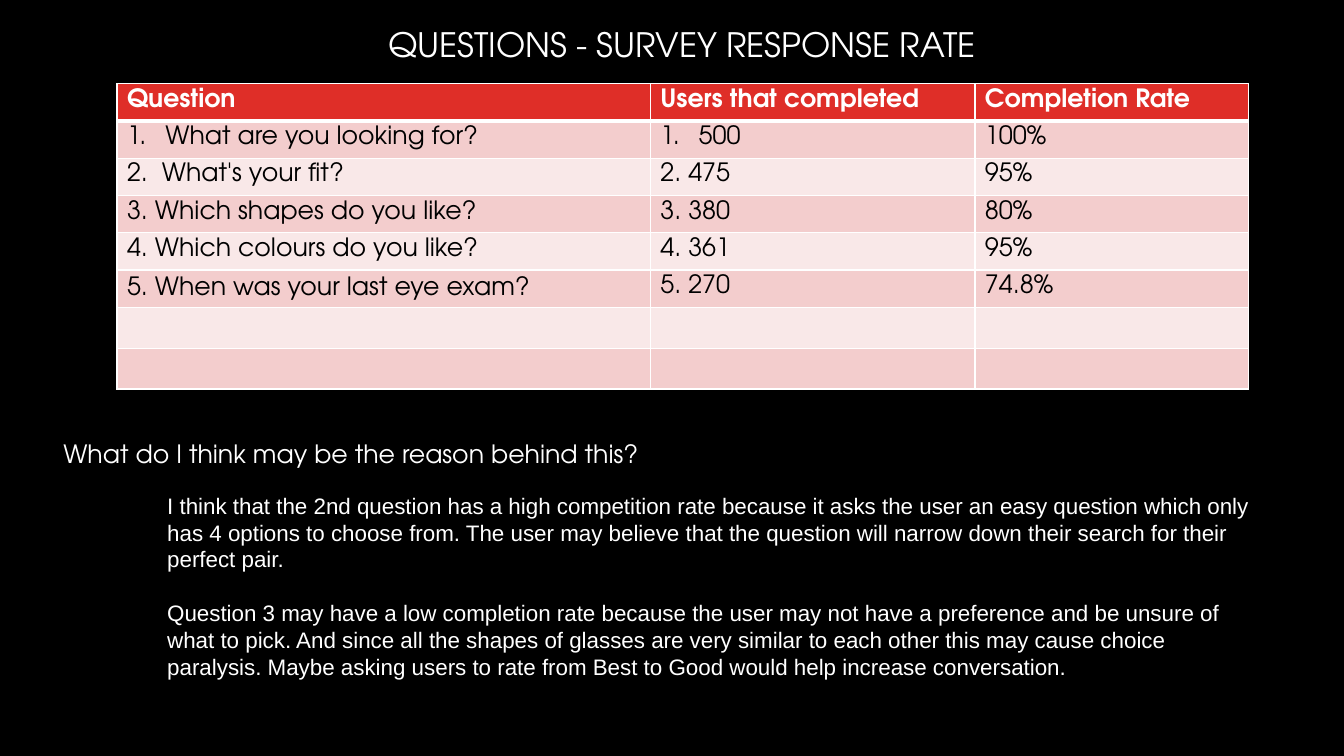
from dataclasses import dataclass
from typing import Any, NamedTuple, Optional

from lxml.etree import SubElement
from pptx import Presentation
from pptx.dml.color import RGBColor
from pptx.enum.text import MSO_ANCHOR as Anchor, MSO_AUTO_SIZE as AutoSize, PP_ALIGN as Align
from pptx.oxml.ns import qn
from pptx.util import Inches, Pt


@dataclass(frozen=True)
class Theme:
    background: RGBColor = RGBColor(0x00, 0x00, 0x00)
    light: RGBColor = RGBColor(0xFF, 0xFF, 0xFF)
    dark: RGBColor = RGBColor(0x00, 0x00, 0x00)
    header: RGBColor = RGBColor(0xDF, 0x2E, 0x28)
    odd_row: RGBColor = RGBColor(0xF3, 0xCD, 0xCD)
    even_row: RGBColor = RGBColor(0xF9, 0xE8, 0xE8)
    display_font: str = "TeX Gyre Adventor"
    text_font: str = "Arial"
    title_size: int = 24
    heading_size: int = 18
    text_size: int = 16


class Box(NamedTuple):
    left: float
    top: float
    width: float
    height: float

    def lengths(self) -> tuple:
        return tuple(Inches(value) for value in self)


class SurveyRow(NamedTuple):
    question: str = ""
    users: str = ""
    rate: str = ""
    numbered: bool = False
    question_anchor: Anchor = Anchor.TOP


THEME = Theme()
TITLE_BOX = Box(2.23, 0.1, 9.07, 0.73)
TABLE_BOX = Box(1.16, 0.83, 11.22, 2.96)
REASON_BOX = Box(0.53, 4.3, 6.13, 0.4)
ANSWER_BOX = Box(1.56, 4.83, 10.95, 1.99)
COLUMN_WIDTHS = (5.29, 3.22, 2.71)
ROW_HEIGHT = 0.37
NUMBER_INDENT = 0.38

SURVEY = (
    SurveyRow("Question", "Users that completed", "Completion Rate"),
    SurveyRow("What are you looking for?", "500", "100%", numbered=True),
    SurveyRow("2.  What's your fit?", "2. 475", "95%"),
    SurveyRow("3. Which shapes do you like?", "3. 380", "80%"),
    SurveyRow("4. Which colours do you like?", "4. 361", "95%"),
    SurveyRow("5. When was your last eye exam?", "5. 270", "74.8%",
              question_anchor=Anchor.MIDDLE),
    SurveyRow(),
    SurveyRow(),
)

ANSWERS = (
    "I think that the 2nd question has a high competition rate because it asks the user "
    "an easy question which only has 4 options to choose from. The user may believe that "
    "the question will narrow down their search for their perfect pair.",
    "Question 3 may have a low completion rate because the user may not have a preference "
    "and be unsure of what to pick. And since all the shapes of glasses are very similar to "
    "each other this may cause choice paralysis. Maybe asking users to rate from Best to Good "
    "would help increase conversation.",
)


def write(paragraph: Any, text: str, *, size: int = THEME.heading_size,
          font: str = THEME.display_font, color: RGBColor = THEME.light,
          bold: bool = False, align: Align = Align.LEFT,
          line_spacing: Optional[float] = None, space_after: float = 0) -> None:
    """Put formatted text into a paragraph."""
    paragraph.alignment = align
    paragraph.space_before = Pt(0)
    paragraph.space_after = Pt(space_after)
    if line_spacing:
        paragraph.line_spacing = line_spacing
    if text:
        run = paragraph.add_run()
        run.text = text
        run.font.size, run.font.name, run.font.bold = Pt(size), font, bold
        run.font.color.rgb = color


def number(paragraph: Any) -> None:
    """Turn a paragraph into an automatically numbered item."""
    properties = paragraph._p.get_or_add_pPr()
    properties.set("marL", str(Inches(NUMBER_INDENT)))
    properties.set("indent", str(-Inches(NUMBER_INDENT)))
    SubElement(properties, qn("a:buFont"), typeface="+mj-lt")
    SubElement(properties, qn("a:buAutoNum"), type="arabicPeriod")


def border(cell: Any, top: float = 1, bottom: float = 1) -> None:
    """Draw the four cell edges; call before filling the cell."""
    properties = cell._tc.get_or_add_tcPr()
    for side, width in (("L", 1), ("R", 1), ("T", top), ("B", bottom)):
        line = SubElement(properties, qn(f"a:ln{side}"), w=str(Pt(width)))
        fill = SubElement(line, qn("a:solidFill"))
        SubElement(fill, qn("a:srgbClr"), val=str(THEME.light))


def add_survey_table(slide: Any) -> None:
    table = slide.shapes.add_table(len(SURVEY), len(COLUMN_WIDTHS), *TABLE_BOX.lengths()).table
    for column, width in zip(table.columns, COLUMN_WIDTHS):
        column.width = Inches(width)
    for index, entry in enumerate(SURVEY):
        table.rows[index].height = Inches(ROW_HEIGHT)
        is_header = index == 0
        band = THEME.odd_row if index % 2 else THEME.even_row
        for column, text in enumerate((entry.question, entry.users, entry.rate)):
            cell = table.cell(index, column)
            border(cell, top=3 if index == 1 else 1, bottom=3 if is_header else 1)
            cell.fill.solid()
            cell.fill.fore_color.rgb = THEME.header if is_header else band
            cell.margin_top = cell.margin_bottom = Inches(0.05)
            cell.vertical_anchor = entry.question_anchor if column == 0 else Anchor.TOP
            paragraph = cell.text_frame.paragraphs[0]
            write(paragraph, text, bold=is_header,
                  color=THEME.light if is_header else THEME.dark)
            if entry.numbered and column < 2:
                number(paragraph)


def add_text_box(slide: Any, box: Box, texts: tuple, *, wrap: bool = True,
                 gap: float = 0, **text_format: Any) -> None:
    frame = slide.shapes.add_textbox(*box.lengths()).text_frame
    frame.word_wrap = wrap
    frame.auto_size = AutoSize.SHAPE_TO_FIT_TEXT
    for index, text in enumerate(texts):
        paragraph = frame.add_paragraph() if index else frame.paragraphs[0]
        is_last = index == len(texts) - 1
        write(paragraph, text, space_after=0 if is_last else gap, **text_format)


def main() -> None:
    deck = Presentation()
    deck.slide_width, deck.slide_height = Inches(13.33), Inches(7.5)
    slide = deck.slides.add_slide(deck.slide_layouts[5])
    slide.background.fill.solid()
    slide.background.fill.fore_color.rgb = THEME.background

    # Title
    title = slide.shapes.title
    title.left, title.top, title.width, title.height = TITLE_BOX.lengths()
    title.text_frame.auto_size = AutoSize.NONE
    title.text_frame.vertical_anchor = Anchor.MIDDLE
    write(title.text_frame.paragraphs[0], "QUESTIONS - SURVEY RESPONSE RATE",
          size=THEME.title_size, align=Align.CENTER, line_spacing=0.9)

    # Survey results
    add_survey_table(slide)

    # Interpretation
    add_text_box(slide, REASON_BOX, ("What do I think may be the reason behind this?",),
                 wrap=False)
    add_text_box(slide, ANSWER_BOX, ANSWERS, gap=19,
                 size=THEME.text_size, font=THEME.text_font)

    deck.save("out.pptx")


if __name__ == "__main__":
    main()
